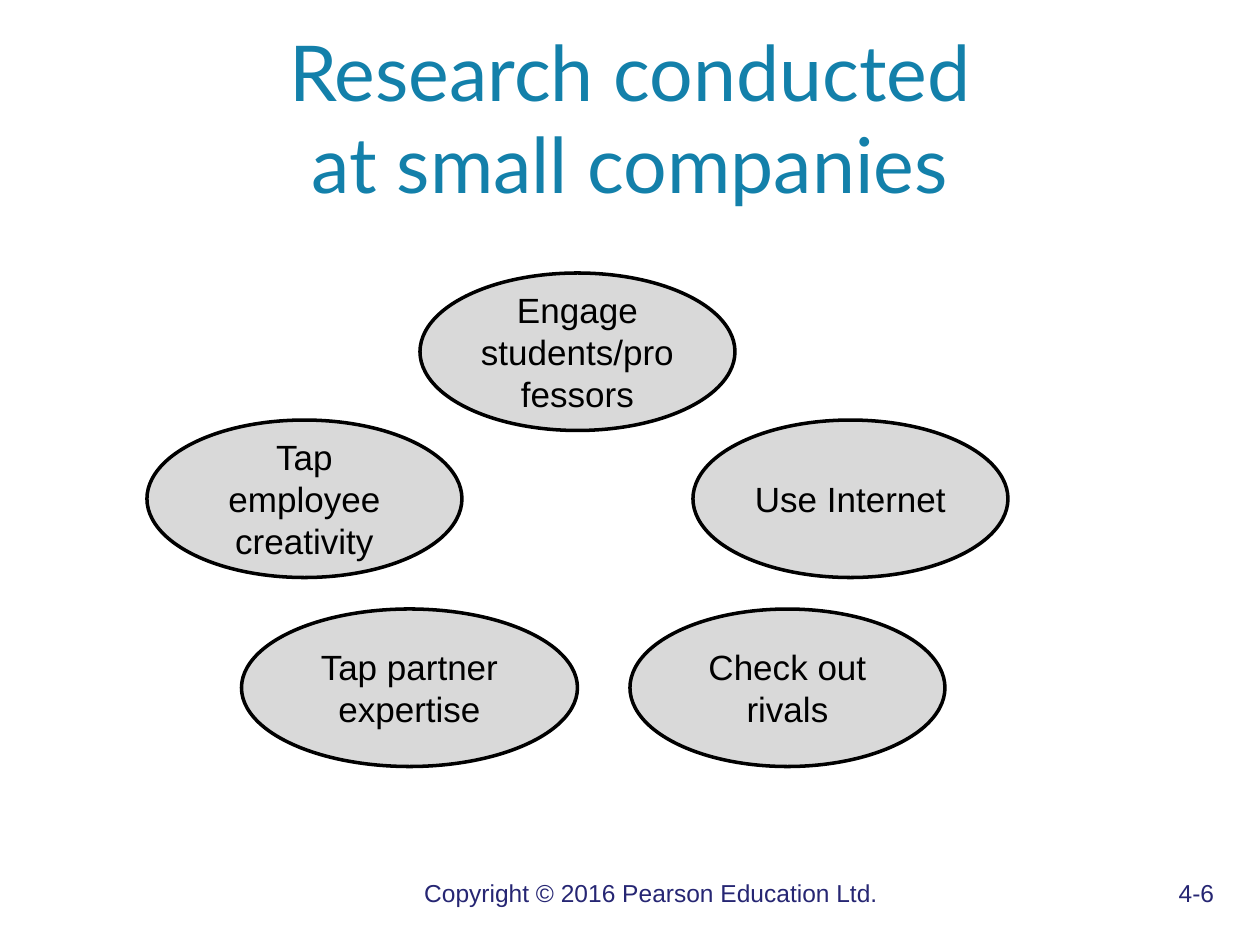
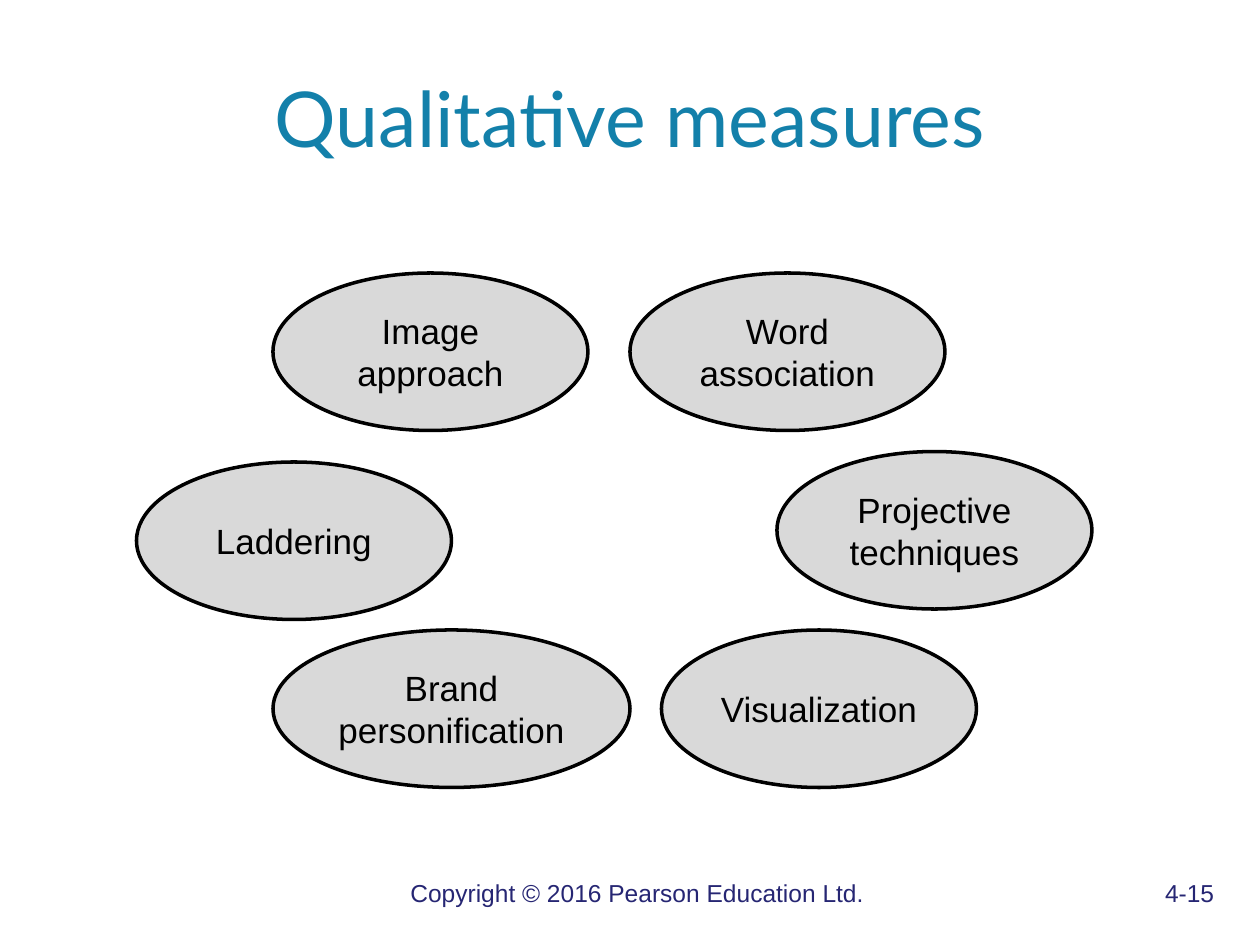
"""Two slides of marketing research ideas, each a ring of labelled ovals."""
from dataclasses import dataclass
from typing import NamedTuple

from lxml import etree
from pptx import Presentation
from pptx import util as u
from pptx.dml.color import RGBColor
from pptx.enum import shapes, text
from pptx.oxml.ns import qn


@dataclass(frozen=True)
class TextStyle:
    """Font, size in points and colour of one kind of text."""
    face: str
    size: int
    colour: str


@dataclass(frozen=True)
class Theme:
    """Colours, type and grid shared by the slides."""
    title: TextStyle = TextStyle("Lato", 44, "1380AA")
    idea: TextStyle = TextStyle("Arial", 20, "000000")
    footer: TextStyle = TextStyle("Arial", 14, "262673")
    oval_fill: str = "D9D9D9"
    oval_line: str = "000000"
    oval_line_width: int = 2
    columns: int = 120
    rows: int = 90


class Idea(NamedTuple):
    """An oval, placed by grid column and row."""
    label: str
    column: int
    row: int
    columns: int = 30
    rows: int = 15


class Topic(NamedTuple):
    """The title, page number and ovals of one slide."""
    title: str
    page: str
    ideas: tuple[Idea, ...]


THEME = Theme()
WIDTH, HEIGHT = u.Inches(10), u.Inches(7.5)
COPYRIGHT = "Copyright © 2016 Pearson Education Ltd."
COPYRIGHT_INSET, DIGIT_WIDTH, FOOTER_TAB_END = 2.95, 0.11, 9.22

TOPICS = (
    Topic("Research conducted\vat small companies", "4-6", (
        Idea("Engage students/professors", 40, 26),
        Idea("Use Internet", 66, 40),
        Idea("Check out rivals", 60, 58),
        Idea("Tap partner expertise", 23, 58, columns=32),
        Idea("Tap employee creativity", 14, 40),
    )),
    Topic("Qualitative measures", "4-15", (
        Idea("Image approach", 26, 26),
        Idea("Word association", 60, 26),
        Idea("Projective techniques", 74, 43),
        Idea("Visualization", 63, 60),
        Idea("Brand personification", 26, 60, columns=34),
        Idea("Laddering", 13, 44),
    )),
)


def grid_box(column: float, row: float, columns: float, rows: float) -> tuple[int, ...]:
    """Turn grid cells into left, top, width and height."""
    across, down = WIDTH / THEME.columns, HEIGHT / THEME.rows
    return tuple(round(n) for n in (column * across, row * down, columns * across, rows * down))


def apply(target, values: dict) -> None:
    """Set each named attribute on the target."""
    for name, value in values.items():
        setattr(target, name, value)


def format_text(frame, style: TextStyle, align, anchor) -> None:
    """Give a text frame its alignment and type."""
    apply(frame, {"word_wrap": True, "auto_size": text.MSO_AUTO_SIZE.NONE, "vertical_anchor": anchor})
    for paragraph in frame.paragraphs:
        paragraph.alignment = align
        for run in paragraph.runs:
            apply(run.font, {"name": style.face, "size": u.Pt(style.size)})
            run.font.color.rgb = RGBColor.from_string(style.colour)


def add_title(slide, title: str) -> None:
    """Fill and place the title placeholder."""
    holder = slide.shapes.title
    apply(holder, dict(zip(("left", "top", "width", "height"), grid_box(6, 3.6, 108, 15))))
    holder.text_frame.text = title
    format_text(holder.text_frame, THEME.title, text.PP_ALIGN.CENTER, text.MSO_ANCHOR.MIDDLE)


def add_footer(slide, page: str) -> None:
    """Write the copyright line with the page number at a right tab."""
    frame = slide.shapes.add_textbox(*grid_box(5, 83, 112, 6.2)).text_frame
    inset = COPYRIGHT_INSET - DIGIT_WIDTH * (len(page) - len("4-6"))
    frame.margin_left = u.Inches(inset)
    paragraph = frame.paragraphs[0]
    tabs = etree.SubElement(paragraph._p.get_or_add_pPr(), qn("a:tabLst"))
    etree.SubElement(tabs, qn("a:tab"), pos=str(u.Inches(FOOTER_TAB_END - inset)), algn="r")
    paragraph.add_run().text = f"{COPYRIGHT}\t{page}"
    format_text(frame, THEME.footer, text.PP_ALIGN.LEFT, text.MSO_ANCHOR.TOP)


def add_idea(slide, idea: Idea) -> None:
    """Draw one labelled oval."""
    oval = slide.shapes.add_shape(shapes.MSO_SHAPE.OVAL, *grid_box(*idea[1:]))
    oval.shadow.inherit = False
    oval.fill.solid()
    oval.fill.fore_color.rgb = RGBColor.from_string(THEME.oval_fill)
    oval.line.color.rgb = RGBColor.from_string(THEME.oval_line)
    oval.line.width = u.Pt(THEME.oval_line_width)
    oval.text_frame.text = idea.label
    format_text(oval.text_frame, THEME.idea, text.PP_ALIGN.CENTER, text.MSO_ANCHOR.MIDDLE)


def main() -> None:
    """Build and save the slides."""
    deck = Presentation()
    apply(deck, {"slide_width": WIDTH, "slide_height": HEIGHT})
    title_only = deck.slide_layouts.get_by_name("Title Only")
    for topic in TOPICS:
        slide = deck.slides.add_slide(title_only)
        add_footer(slide, topic.page)
        add_title(slide, topic.title)
        for idea in topic.ideas:
            add_idea(slide, idea)
    deck.save("out.pptx")


if __name__ == "__main__":
    main()
